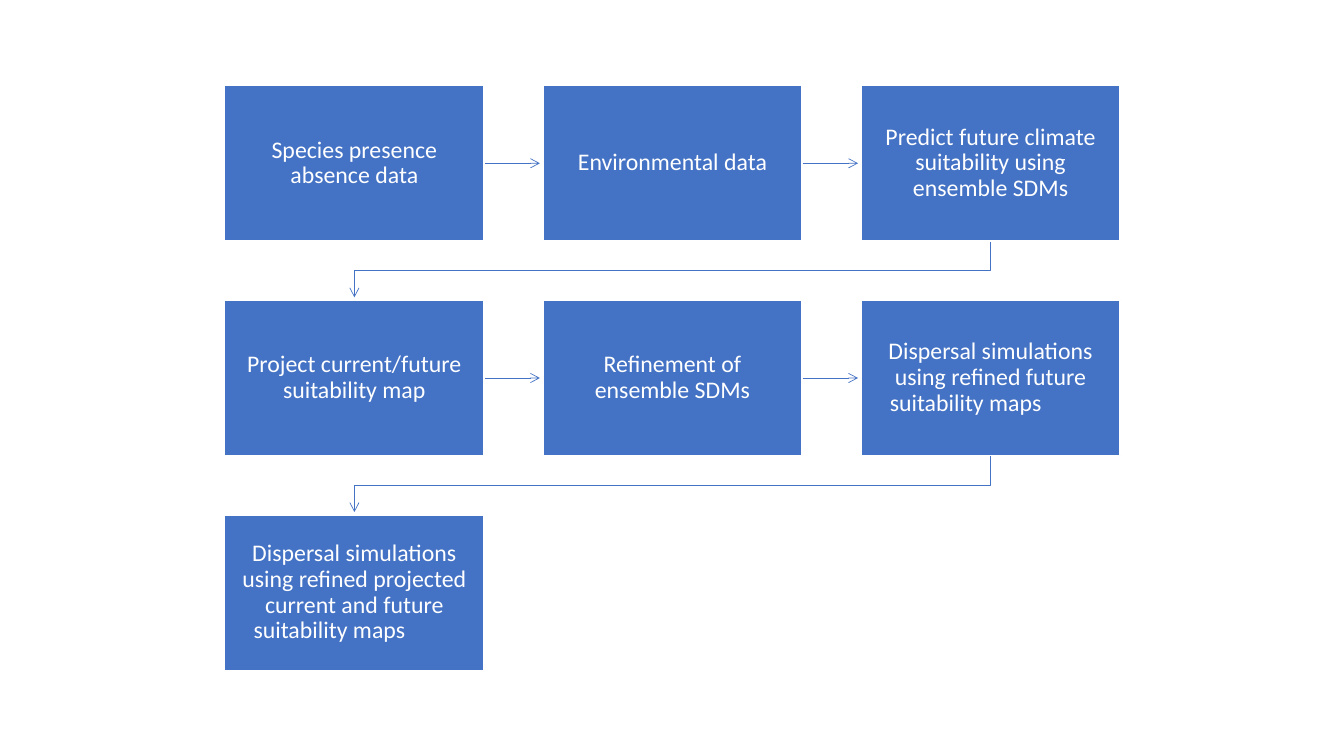
"""Build a slide with a seven-step species distribution workflow."""
from dataclasses import dataclass
from itertools import pairwise

from lxml import etree
from pptx import Presentation
from pptx import util as u
from pptx.dml.color import RGBColor
from pptx.enum import shapes, text
from pptx.oxml.ns import qn


@dataclass(frozen=True)
class Theme:
    blue: RGBColor = RGBColor.from_string("4472C4")
    white: RGBColor = RGBColor.from_string("FFFFFF")
    font: str = "Calibri"
    size: u.Pt = u.Pt(17)
    border: u.Pt = u.Pt(1)
    arrow: u.Pt = u.Pt(0.5)


class Painter:
    def __init__(self, page, theme):
        self.page, self.theme = page, theme

    def set_values(self, target, values):
        for name, value in values.items():
            setattr(target, name, value)

    def set_line(self, shape, color, width):
        shape.line.fill.solid()
        shape.line.color.rgb = color
        shape.line.width = width

    def step(self, label, left, top, width, height):
        box = self.page.shapes.add_shape(
            shapes.MSO_SHAPE.RECTANGLE, *map(u.Inches, (left, top, width, height)))
        box.shadow.inherit = False
        box.fill.solid()
        box.fill.fore_color.rgb = self.theme.blue
        self.set_line(box, self.theme.white, self.theme.border)
        frame = box.text_frame
        margins = {f"margin_{side}": u.Inches(0.13)
                   for side in ("left", "top", "right", "bottom")}
        self.set_values(frame, margins | {
            "word_wrap": True, "vertical_anchor": text.MSO_ANCHOR.MIDDLE})
        para = frame.paragraphs[0]
        self.set_values(para, {"alignment": text.PP_ALIGN.CENTER, "line_spacing": 0.9})
        span = para.add_run()
        span.text = label
        self.set_values(span.font, {"name": self.theme.font, "size": self.theme.size})
        span.font.color.rgb = self.theme.white

    def finish_arrow(self, shape):
        self.set_line(shape, self.theme.blue, self.theme.arrow)
        properties = shape.element.spPr
        etree.SubElement(properties.find(qn("a:ln")), qn("a:tailEnd"), type="arrow")
        etree.SubElement(properties, qn("a:effectLst"))

    def straight_arrow(self, start, end):
        self.finish_arrow(self.page.shapes.add_connector(
            shapes.MSO_CONNECTOR.STRAIGHT, *map(u.Inches, (*start, *end))))

    def bent_arrow(self, points):
        start, *rest = [tuple(map(u.Inches, point)) for point in points]
        builder = self.page.shapes.build_freeform(*start)
        builder.add_line_segments(rest, close=False)
        shape = builder.convert_to_shape()
        shape.fill.background()
        self.finish_arrow(shape)


STEPS = [
    "Species presence absence data",
    "Environmental data",
    "Predict future climate suitability using ensemble SDMs",
    "Project current/future suitability map",
    "Refinement of ensemble SDMs",
    "Dispersal simulations using refined future suitability maps\t",
    "Dispersal simulations using refined projected current and future suitability maps\t",
]
COLUMNS = 3
LEFT, TOP = 2.23, 0.85
WIDTH, HEIGHT = 2.57, 1.54
COLUMN_STEP, ROW_STEP = 3.155, 2.13
TIP_GAP = 0.03

deck = Presentation()
deck.slide_width, deck.slide_height = u.Inches(13.33), u.Inches(7.5)
painter = Painter(deck.slides.add_slide(deck.slide_layouts[6]), Theme())

corners = [(LEFT + index % COLUMNS * COLUMN_STEP, TOP + index // COLUMNS * ROW_STEP)
           for index in range(len(STEPS))]

for (left, top), (next_left, next_top) in pairwise(corners):
    if top == next_top:
        middle = top + HEIGHT / 2
        painter.straight_arrow((left + WIDTH, middle), (next_left - TIP_GAP, middle))
    else:
        start, end = left + WIDTH / 2, next_left + WIDTH / 2
        bottom = top + HEIGHT
        bend = (bottom + next_top) / 2
        painter.bent_arrow([(start, bottom), (start, bend), (end, bend),
                            (end, next_top - TIP_GAP)])

for label, corner in zip(STEPS, corners):
    painter.step(label, *corner, WIDTH, HEIGHT)

deck.save("out.pptx")
